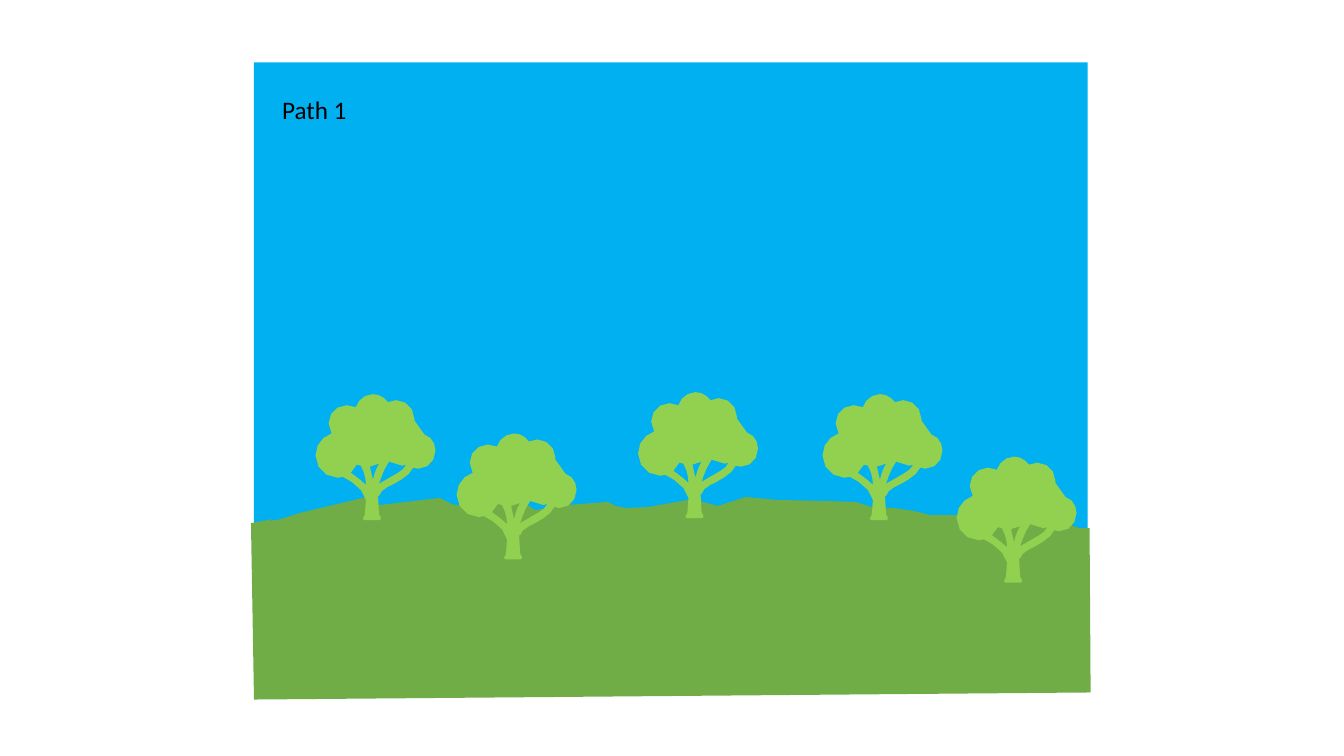
from pptx import Presentation
from pptx.dml.color import RGBColor
from pptx.enum.shapes import MSO_AUTO_SHAPE_TYPE as ShapeType
from pptx.enum.text import MSO_AUTO_SIZE as AutoSize
from pptx.util import Pt

COLOURS = {"sky": "00B0F0", "hills": "70AD47", "tree": "92D050", "text": "000000"}
SLIDE_SIZE = (960, 540)
UNIT = 0.72
LONG_CURVE = 15
LONG_CURVE_STEPS = 3

SKY = (181.44, 44.64, 595.44, 369.36)
LABEL = "Path 1"
LABEL_BOX = (194.4, 64.08, 92.88, 28.8)
LABEL_FORMAT = {"name": "Calibri", "size": Pt(18)}

TREE_ORIGINS = [(453, 430), (313, 391), (633, 389), (949, 453), (816, 391)]

HILLS = [[
    (266, 517), (279, 515), (297, 509), (364, 493), (377, 501), (394, 499),
    (436, 494), (448, 500), (465, 504), (490, 497), (510, 496), (525, 502),
    (531, 506), (562, 501), (603, 498), (611, 502), (621, 504), (643, 503),
    (688, 495), (701, 499), (712, 502), (740, 493), (771, 496), (818, 497),
    (849, 498), (865, 503), (887, 504), (907, 507), (923, 511), (947, 511),
    (977, 512), (1003, 510), (1026, 507), (1057, 519), (1071, 524),
    (1081, 524), (1082, 687), (252, 694), (249, 519), (270, 515),
]]

TREE = [
    [
        (108, 40), (106, 34, 103, 29, 98, 26), (98, 24),
        (98, 14, 90, 6, 80, 6), (72, 8),
        (68, 3, 63, 0, 57, 0), (49, 0, 42, 6, 40, 13),
        (37, 11, 34, 11, 31, 11), (21, 11, 13, 19, 13, 29),
        (13, 33, 14, 36, 16, 39), (7, 42, 0, 50, 0, 61),
        (0, 73, 10, 83, 22, 83), (27, 82),
        (34, 85, 49, 95, 50, 105), (49, 119), (48, 122), (47, 123),
        (48, 125), (64, 125), (65, 123), (64, 121), (63, 119), (62, 101),
        (63, 101), (64, 96, 71, 92, 78, 89),
        (85, 85, 94, 80, 97, 73), (102, 74),
        (112, 74, 119, 66, 119, 56), (119, 49, 115, 42, 108, 40),
    ],
    [(57, 85), (54, 72), (63, 69), (60, 74, 58, 80, 57, 85)],
    [(35, 78), (41, 70), (45, 71), (49, 78, 50, 85, 50, 90),
     (45, 85, 39, 81, 35, 78)],
    [(75, 82), (63, 89), (65, 83, 68, 74, 73, 67),
     (77, 69, 81, 71, 86, 71), (90, 70), (88, 75, 82, 78, 75, 82)],
]


def trace(contour, origin):
    """Return the points of a contour, with its long curves cut into lines."""
    points = [contour[0]]
    for segment in contour[1:]:
        start, end = points[-1], segment[-2:]
        span = max(abs(a - b) for a, b in zip(start, end))
        if len(segment) == 6 and span >= LONG_CURVE:
            corners = (start, segment[:2], segment[2:4], end)
            for step in range(1, LONG_CURVE_STEPS):
                t = step / LONG_CURVE_STEPS
                weights = ((1 - t) ** 3, 3 * t * (1 - t) ** 2, 3 * t * t * (1 - t), t ** 3)
                points.append(tuple(sum(weight * corner[axis] for weight, corner in zip(weights, corners))
                                    for axis in (0, 1)))
        points.append(end)
    return [tuple(Pt((value + offset) * UNIT) for value, offset in zip(point, origin))
            for point in points]


def paint(shape, colour):
    """Give a shape a plain fill without line or shadow."""
    shape.fill.solid()
    shape.fill.fore_color.rgb = RGBColor.from_string(COLOURS[colour])
    shape.line.fill.background()
    shape.shadow.inherit = False


def draw(slide, contours, colour, origin=(0, 0)):
    """Draw closed contours as one freeform."""
    first, *holes = [trace(contour, origin) for contour in contours]
    builder = slide.shapes.build_freeform(*first[0], scale=1.0)
    builder.add_line_segments(first[1:], close=True)
    for hole in holes:
        builder.move_to(*hole[0])
        builder.add_line_segments(hole[1:], close=True)
    paint(builder.convert_to_shape(), colour)


def main():
    """Build the landscape slide."""
    presentation = Presentation()
    presentation.slide_width, presentation.slide_height = map(Pt, SLIDE_SIZE)
    slide = presentation.slides.add_slide(presentation.slide_layouts[6])

    paint(slide.shapes.add_shape(ShapeType.RECTANGLE, *map(Pt, SKY)), "sky")
    draw(slide, HILLS, "hills")
    for origin in TREE_ORIGINS:
        draw(slide, TREE, "tree", origin)

    frame = slide.shapes.add_textbox(*map(Pt, LABEL_BOX)).text_frame
    frame.word_wrap = True
    frame.auto_size = AutoSize.SHAPE_TO_FIT_TEXT
    frame.text = LABEL
    font = frame.paragraphs[0].runs[0].font
    for name, value in LABEL_FORMAT.items():
        setattr(font, name, value)
    font.color.rgb = RGBColor.from_string(COLOURS["text"])

    presentation.save("out.pptx")


if __name__ == "__main__":
    main()
